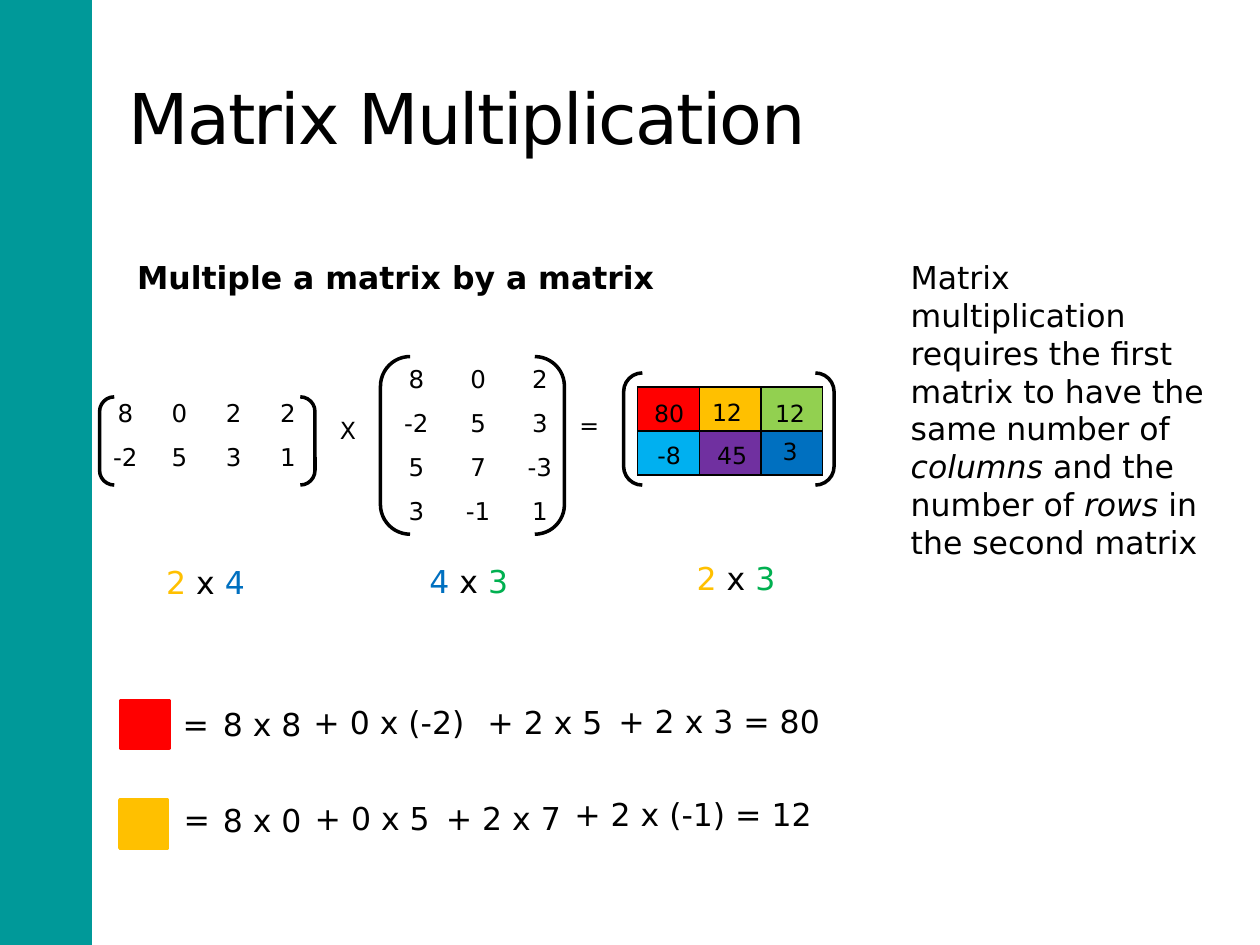
from lxml.etree import SubElement
from pptx import Presentation
from pptx.dml.color import RGBColor
from pptx.enum.shapes import MSO_SHAPE as SHAPE
from pptx.enum.text import MSO_ANCHOR as ANCHOR, MSO_AUTO_SIZE as AUTO_SIZE, PP_ALIGN as ALIGN
from pptx.oxml.ns import qn
from pptx.util import Inches, Pt

FONT = "DejaVu Sans"
BLACK = RGBColor(0x00, 0x00, 0x00)
WHITE = RGBColor(0xFF, 0xFF, 0xFF)
TEAL = RGBColor(0x00, 0x99, 0x99)
RED = RGBColor(0xFF, 0x00, 0x00)
GOLD = RGBColor(0xFF, 0xC0, 0x00)
LIME = RGBColor(0x92, 0xD0, 0x50)
SKY = RGBColor(0x00, 0xB0, 0xF0)
PURPLE = RGBColor(0x70, 0x30, 0xA0)
BLUE = RGBColor(0x00, 0x70, 0xC0)
GREEN = RGBColor(0x00, 0xB0, 0x50)

prs = Presentation()
prs.slide_width, prs.slide_height = Inches(10), Inches(7.5)
slide = prs.slides.add_slide(prs.slide_layouts[5])
shapes = slide.shapes


def add_label(left, top, width, height, runs, size=18, wrap=False, align=ALIGN.LEFT):
    """Add a text box; each run is (text, font settings, colour)."""
    frame = shapes.add_textbox(*map(Inches, (left, top, width, height))).text_frame
    frame.word_wrap = wrap
    paragraph = frame.paragraphs[0]
    paragraph.alignment = align
    for text, settings, colour in runs:
        run = paragraph.add_run()
        run.text = text
        for key, value in {"name": FONT, "size": Pt(size), **settings}.items():
            setattr(run.font, key, value)
        run.font.color.rgb = colour


def add_matrix(left, top, column_width, rows, fills=None):
    """Add a grid of numbers, or of coloured cells with black borders."""
    row_count, column_count = len(rows), len(rows[0])
    table = shapes.add_table(
        row_count, column_count, Inches(left), Inches(top),
        Inches(column_width * column_count), Inches(0.35 * row_count)).table
    table.first_row = table.horz_banding = False
    for r, row in enumerate(rows):
        for c, value in enumerate(row):
            cell = table.cell(r, c)
            cell.margin_left = cell.margin_right = Inches(0.07)
            cell.margin_top = cell.margin_bottom = Inches(0.02)
            cell.vertical_anchor = ANCHOR.MIDDLE
            if fills:
                for side in ("a:lnL", "a:lnR", "a:lnT", "a:lnB"):
                    border = SubElement(cell._tc.get_or_add_tcPr(), qn(side), w=str(Pt(1)))
                    SubElement(SubElement(border, qn("a:solidFill")), qn("a:srgbClr"), val=str(BLACK))
            else:
                paragraph = cell.text_frame.paragraphs[0]
                paragraph.alignment = ALIGN.CENTER
                run = paragraph.add_run()
                run.text = str(value)
                run.font.name, run.font.size = FONT, Pt(14)
                run.font.color.rgb = BLACK
            cell.fill.solid()
            cell.fill.fore_color.rgb = fills[r][c] if fills else WHITE


# Side band
band = shapes.add_shape(SHAPE.RECTANGLE, Inches(-0.02), 0, Inches(0.75), Inches(7.5))
band.shadow.inherit = False
band.fill.solid()
band.fill.fore_color.rgb = TEAL
band.line.fill.background()

# Title
title = shapes.title
title.left, title.top, title.width, title.height = map(Inches, (0.92, 0.3, 8.33, 1.25))
title.text_frame.auto_size = AUTO_SIZE.NONE
title.text_frame.vertical_anchor = ANCHOR.MIDDLE
heading = title.text_frame.paragraphs[0]
heading.alignment = ALIGN.LEFT
heading_run = heading.add_run()
heading_run.text = "Matrix Multiplication"
heading_run.font.name, heading_run.font.size = FONT, Pt(40)
heading_run.font.color.rgb = BLACK
heading_run._r.get_or_add_rPr().set("spc", "-100")

# Subheading and rule
add_label(0.99, 2, 4.31, 0.4, [("Multiple a matrix by a matrix", {"bold": True}, BLACK)])
add_label(7.13, 2, 2.64, 4.12, [
    ("Matrix multiplication requires the first matrix to have the same number of ", {}, BLACK),
    ("columns ", {"italic": True}, BLACK),
    ("and the number of ", {}, BLACK),
    ("rows ", {"italic": True}, BLACK),
    ("in the second matrix", {}, BLACK)], wrap=True)

# Matrices
add_matrix(0.78, 3.11, 0.43, [[8, 0, 2, 2], [-2, 5, 3, 1]])
add_matrix(3.06, 2.84, 0.49, [[8, 0, 2], [-2, 5, 3], [5, 7, -3], [3, -1, 1]])
products = [[80, 12, 12], [-8, 45, 3]]
add_matrix(5.06, 3.07, 0.49, products, [[RED, GOLD, LIME], [SKY, PURPLE, BLUE]])

# Brackets around the matrices
for place in ((0.79, 3.15, 1.71, 0.7), (3.02, 2.83, 1.46, 1.41), (4.95, 2.96, 1.67, 0.89)):
    bracket = shapes.add_shape(SHAPE.DOUBLE_BRACKET, *map(Inches, place))
    bracket.shadow.inherit = False
    bracket.fill.background()
    bracket.line.color.rgb = BLACK
    bracket.line.width = Pt(2)

# Operators
add_label(2.6, 3.25, 0.26, 0.33, [("X", {}, BLACK)], 13.5, wrap=True)
add_label(4.5, 3.21, 0.36, 0.33, [("=", {}, BLACK)], 13.5)

# Numbers over the coloured cells
number_places = [[(5.07, 3.12), (5.53, 3.11), (6.03, 3.12)],
                 [(5.07, 3.45), (5.57, 3.45), (6.03, 3.42)]]
for values, places in zip(products, number_places):
    for value, (left, top) in zip(values, places):
        add_label(left, top, 0.48, 0.33, [(str(value), {}, BLACK)], 13.5, True, ALIGN.CENTER)

# Dimensions
for left, top, rows, row_colour, columns, column_colour in (
        (1.22, 4.42, "2", GOLD, "4", BLUE),
        (3.31, 4.41, "4", BLUE, "3", GREEN),
        (5.43, 4.39, "2", GOLD, "3", GREEN)):
    add_label(left, top, 0.85, 0.4, [
        (rows, {}, row_colour), (" x ", {}, BLACK), (columns, {}, column_colour)])

# Worked sums: colour key, then terms as (left, top, width, text)
worked_sums = [
    (RED, 0.96, 5.56, [
        (1.35, 5.55, 0.41, "="), (1.67, 5.55, 0.85, "8 x 8"),
        (2.31, 5.53, 1.58, " + 0 x (-2)"), (3.77, 5.53, 1.15, "+ 2 x 5"),
        (4.81, 5.52, 1.86, "+ 2 x 3 = 80")]),
    (GOLD, 0.95, 6.35, [
        (1.36, 6.3, 0.41, "="), (1.67, 6.31, 0.85, "8 x 0"),
        (2.32, 6.29, 1.24, " + 0 x 5"), (3.44, 6.29, 1.15, "+ 2 x 7"),
        (4.46, 6.26, 2.2, "+ 2 x (-1) = 12")]),
]
for colour, key_left, key_top, terms in worked_sums:
    key = shapes.add_shape(
        SHAPE.RECTANGLE, Inches(key_left), Inches(key_top), Inches(0.38), Inches(0.38))
    key.shadow.inherit = False
    key.fill.solid()
    key.fill.fore_color.rgb = colour
    key.line.color.rgb = colour
    key.line.width = Pt(2)
    for left, top, width, text in terms:
        add_label(left, top, width, 0.4, [(text, {}, BLACK)])

prs.save("out.pptx")
